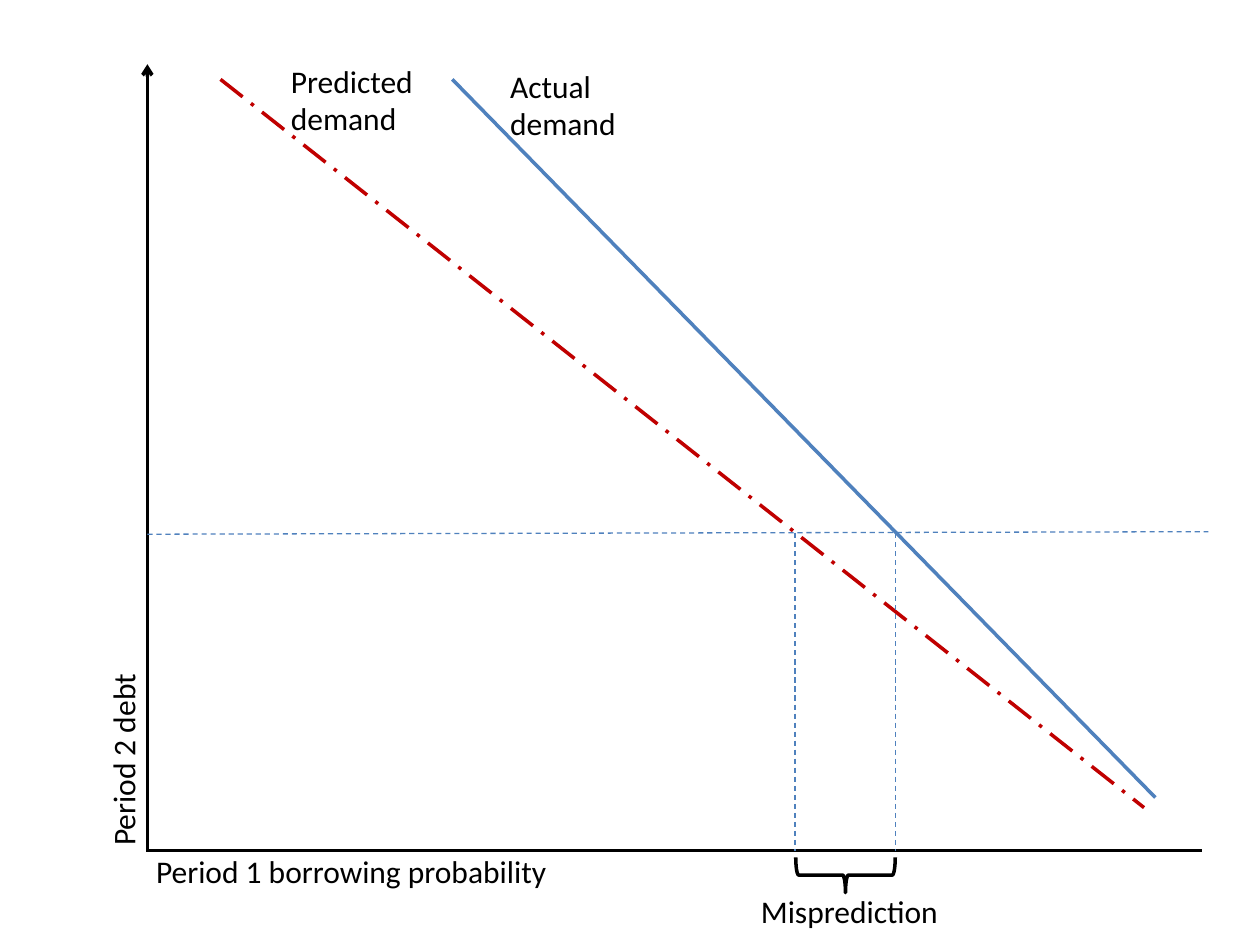
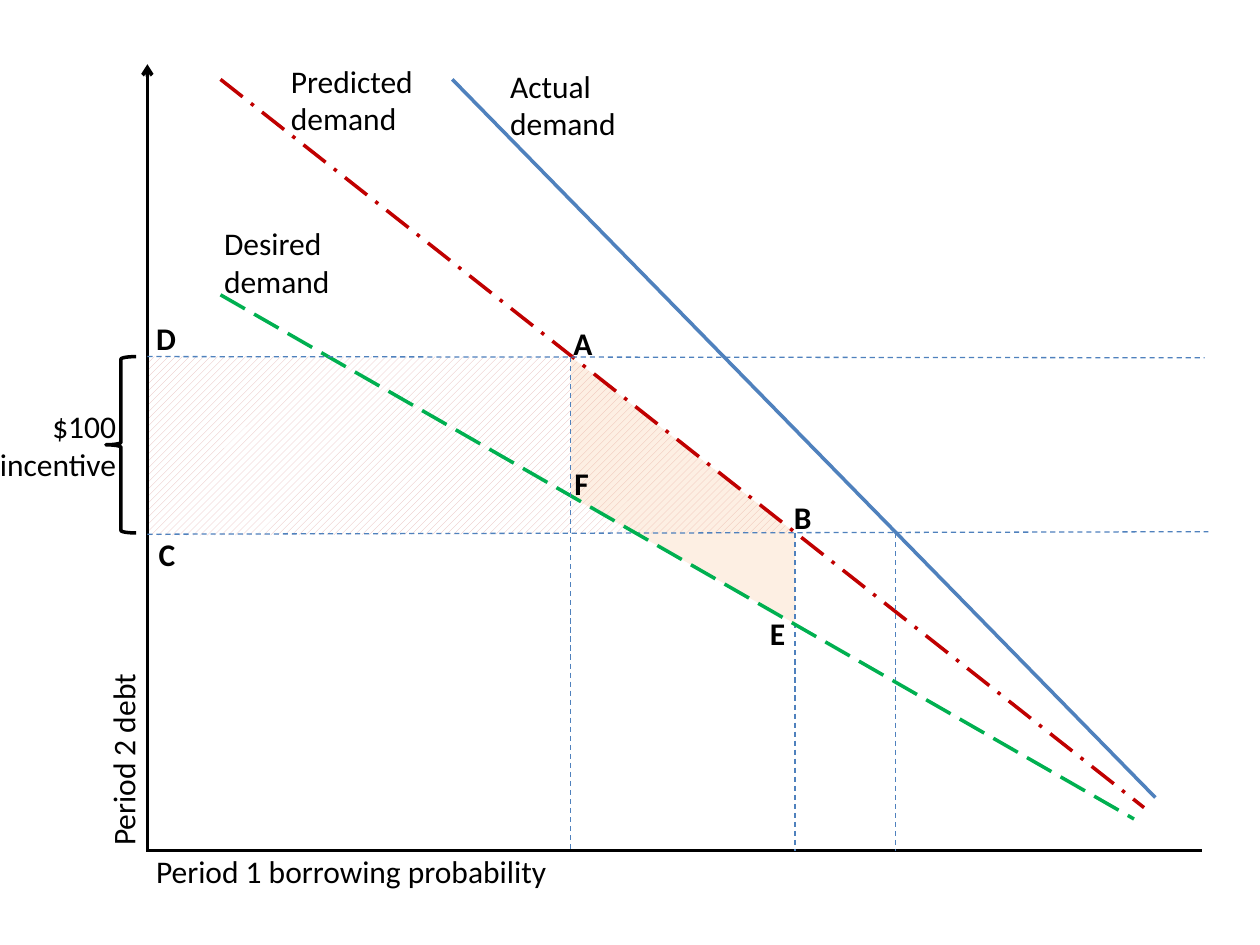
from dataclasses import dataclass

from lxml.etree import SubElement
from pptx import Presentation
from pptx.dml.color import RGBColor
from pptx.enum.dml import MSO_LINE, MSO_PATTERN
from pptx.enum.shapes import MSO_CONNECTOR, MSO_SHAPE
from pptx.enum.text import MSO_AUTO_SIZE, PP_ALIGN
from pptx.oxml.ns import qn
from pptx.util import Inches, Pt

COLORS = {
    "ink": "000000", "blue": "4F81BD", "red": "C00000", "green": "00B050",
    "hatch": "E6B9B8", "paper": "FFFFFF", "peach": "FAC090",
}
FONT = "Calibri"

# Key places on the graph
LEFT, BASE = 1.17, 6.75
HIGH, LOW = 2.83, 4.23
COL_A, COL_B, COL_ACT = 4.53, 6.31, 7.11
POINT_A, POINT_B = (COL_A, HIGH), (COL_B, LOW)
POINT_C, POINT_D = (LEFT, 4.25), (LEFT, HIGH)
POINT_E, POINT_F = (COL_B, 4.95), (COL_A, 3.94)


@dataclass
class Line:
    x1: float
    y1: float
    x2: float
    y2: float
    color: str = "ink"
    width: float = 2
    dash: MSO_LINE | None = None
    arrow: bool = False


@dataclass
class Label:
    text: str
    left: float
    top: float
    width: float
    height: float = 0.4
    align: PP_ALIGN = PP_ALIGN.LEFT
    turn: int = 0
    bold: bool = False
    inset: bool = True


def guide(x1: float, y1: float, x2: float, y2: float) -> Line:
    return Line(x1, y1, x2, y2, "blue", 0.75, MSO_LINE.DASH)


def point(name: str, left: float, top: float) -> Label:
    return Label(name, left, top, 0.26, 0.3, bold=True, inset=False)


# Parts on both slides
SHARED_LINES = [
    Line(1.75, 0.63, 9.08, 6.41, "red", dash=MSO_LINE.LONG_DASH_DOT),
    Line(LEFT, 6.76, LEFT, 0.51, arrow=True),
    Line(LEFT, BASE, 9.54, BASE),
    Line(3.59, 0.63, 9.17, 6.33, "blue"),
    guide(LEFT, 4.24, 9.59, 4.22),
    guide(COL_B, LOW, COL_B, BASE),
    guide(COL_ACT, LOW, COL_ACT, BASE),
]
SHARED_LABELS = [
    Label("Predicted demand", 2.21, 0.44, 1.21, 0.71),
    Label("Actual demand", 3.95, 0.48, 1.21, 0.71),
    Label("Period 1 borrowing probability", 1.14, 6.71, 3.5),
    Label("Period 2 debt", 0.08, 5.83, 1.79, align=PP_ALIGN.CENTER, turn=270),
]

# Parts on the incentive slide only
EXTRA_LINES = [
    Line(1.75, 2.34, 9, 6.5, "green", dash=MSO_LINE.LONG_DASH),
    guide(LEFT, HIGH, 9.56, 2.84),
    guide(COL_A, HIGH, COL_A, BASE),
]
EXTRA_LABELS = [
    Label("Desired demand", 1.68, 1.73, 1.31, 0.71),
    Label("$100 incentive", -0.21, 3.18, 1.23, 0.71, PP_ALIGN.RIGHT),
    point("A", 4.55, 2.57),
    point("B", 6.3, 3.95),
    point("C", 1.26, 4.25),
    point("D", 1.24, 2.53),
    point("E", 6.11, 4.87),
    point("F", 4.56, 3.68),
]


def tint(name: str) -> RGBColor:
    return RGBColor.from_string(COLORS[name])


def draw_line(slide, item: Line) -> None:
    ends = [Inches(v) for v in (item.x1, item.y1, item.x2, item.y2)]
    link = slide.shapes.add_connector(MSO_CONNECTOR.STRAIGHT, *ends)
    link.line.color.rgb = tint(item.color)
    link.line.width = Pt(item.width)
    if item.dash is not None:
        link.line.dash_style = item.dash
    if item.arrow:
        SubElement(link.line._get_or_add_ln(), qn("a:tailEnd"), type="arrow")
    SubElement(link._element.spPr, qn("a:effectLst"))


def draw_label(slide, item: Label) -> None:
    area = [Inches(v) for v in (item.left, item.top, item.width, item.height)]
    box = slide.shapes.add_textbox(*area)
    box.rotation = item.turn
    frame = box.text_frame
    frame.word_wrap = True
    frame.auto_size = MSO_AUTO_SIZE.SHAPE_TO_FIT_TEXT
    if not item.inset:
        frame.margin_left = frame.margin_right = 0
        frame.margin_top = frame.margin_bottom = 0
    para = frame.paragraphs[0]
    para.text = item.text
    para.alignment = item.align
    para.font.name = FONT
    para.font.size = Pt(18)
    para.font.bold = item.bold
    para.font.color.rgb = tint("ink")


def draw_brace(slide, left: float, top: float, width: float,
               height: float, turn: int) -> None:
    area = [Inches(v) for v in (left, top, width, height)]
    brace = slide.shapes.add_shape(MSO_SHAPE.RIGHT_BRACE, *area)
    brace.rotation = turn
    brace.shadow.inherit = False
    brace.fill.background()
    brace.line.color.rgb = tint("ink")
    brace.line.width = Pt(2)


def draw_area(slide, *points: tuple[float, float]):
    first, *rest = [(Inches(x), Inches(y)) for x, y in points]
    pen = slide.shapes.build_freeform(*first)
    pen.add_line_segments(rest, close=True)
    area = pen.convert_to_shape()
    area.shadow.inherit = False
    area.line.fill.background()
    return area


def draw_hatch(slide) -> None:
    fill = draw_area(slide, POINT_C, POINT_D, POINT_A, POINT_B).fill
    fill.patterned()
    fill.pattern = MSO_PATTERN.WIDE_UPWARD_DIAGONAL
    fill.fore_color.rgb = tint("hatch")
    fill.back_color.rgb = tint("paper")


def draw_loss(slide) -> None:
    area = draw_area(slide, POINT_A, POINT_F, POINT_E, POINT_B)
    area.fill.solid()
    area.fill.fore_color.rgb = tint("peach")
    color = area._element.spPr.find(qn("a:solidFill"))[0]
    SubElement(color, qn("a:alpha"), val="25000")


def draw_graph(slide, lines: list[Line], labels: list[Label]) -> None:
    for line in SHARED_LINES + lines:
        draw_line(slide, line)
    for label in SHARED_LABELS + labels:
        draw_label(slide, label)


def main() -> None:
    deck = Presentation()
    deck.slide_width, deck.slide_height = Inches(10), Inches(7.5)
    blank = deck.slide_layouts[6]

    # Slide 1: misprediction
    slide = deck.slides.add_slide(blank)
    draw_graph(slide, [], [Label("Misprediction", 5.94, 7.03, 1.69)])
    draw_brace(slide, 6.57, 6.55, 0.28, 0.79, 90)

    # Slide 2: incentive, with shaded areas behind the lines
    slide = deck.slides.add_slide(blank)
    draw_hatch(slide)
    draw_loss(slide)
    draw_graph(slide, EXTRA_LINES, EXTRA_LABELS)
    draw_brace(slide, 0.84, HIGH, 0.24, LOW - HIGH, 180)

    deck.save("out.pptx")


if __name__ == "__main__":
    main()
